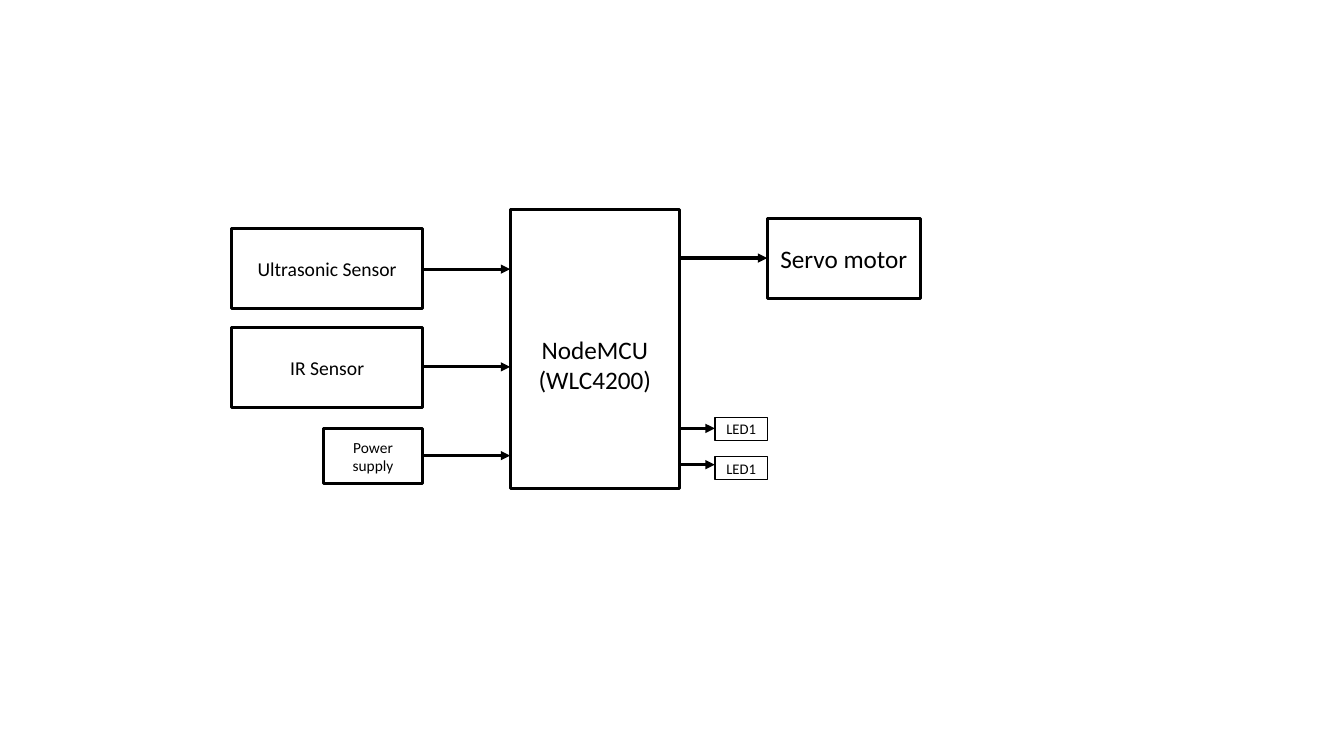
from lxml.etree import SubElement
from pptx import Presentation
from pptx.dml.color import RGBColor
from pptx.enum.shapes import MSO_CONNECTOR, MSO_SHAPE
from pptx.enum.text import MSO_ANCHOR, PP_ALIGN
from pptx.oxml.ns import qn
from pptx.util import Inches, Pt

BLACK = RGBColor(0, 0, 0)
WHITE = RGBColor(255, 255, 255)

presentation = Presentation()
presentation.slide_width = Inches(13.33)
presentation.slide_height = Inches(7.5)
slide = presentation.slides.add_slide(presentation.slide_layouts[6])


def add_block(text, left, top, width, height, font_size, line_width=2.25):
    shape = slide.shapes.add_shape(
        MSO_SHAPE.RECTANGLE, Inches(left), Inches(top), Inches(width), Inches(height)
    )
    shape.shadow.inherit = False
    shape.fill.solid()
    shape.fill.fore_color.rgb = WHITE
    shape.line.color.rgb = BLACK
    shape.line.width = Pt(line_width)
    text_frame = shape.text_frame
    text_frame.text = text
    text_frame.word_wrap = True
    text_frame.vertical_anchor = MSO_ANCHOR.MIDDLE
    for paragraph in text_frame.paragraphs:
        paragraph.alignment = PP_ALIGN.CENTER
        for run in paragraph.runs:
            run.font.name = "Calibri"
            run.font.size = Pt(font_size)
            run.font.color.rgb = BLACK
    return shape


def add_arrow(start, end, y):
    arrow = slide.shapes.add_connector(
        MSO_CONNECTOR.STRAIGHT, Inches(start), Inches(y), Inches(end), Inches(y)
    )
    arrow.line.color.rgb = BLACK
    arrow.line.width = Pt(2.25)
    properties = arrow.element.spPr
    SubElement(properties.find(qn("a:ln")), qn("a:tailEnd"), type="triangle")
    SubElement(properties, qn("a:effectLst"))


# Controller, with its label set below the middle
controller_left, controller_right = 5.06, 6.74
controller = add_block(
    "NodeMCU\n(WLC4200)", controller_left, 2.08,
    controller_right - controller_left, 2.77, 18,
)
controller.text_frame.margin_top = Inches(0.35)

# Inputs share a right edge
input_right = 4.19
inputs = [
    ("Ultrasonic Sensor", 2.27, 1.89, 0.79, 14, 2.67),
    ("IR Sensor", 3.25, 1.89, 0.79, 14, 3.64),
    ("Power supply", 4.25, 0.98, 0.55, 11, 4.52),
]
for text, top, width, height, font_size, arrow_y in inputs:
    add_block(text, input_right - width, top, width, height, font_size)
    add_arrow(input_right, controller_left, arrow_y)

# Outputs
outputs = [
    ("Servo motor", 7.61, 2.17, 1.52, 0.79, 18, 2.25, 2.56),
    ("LED1", 7.09, 4.14, 0.52, 0.23, 10.5, 1, 4.25),
    ("LED1", 7.09, 4.53, 0.52, 0.23, 10.5, 1, 4.61),
]
for text, left, top, width, height, font_size, line_width, arrow_y in outputs:
    add_block(text, left, top, width, height, font_size, line_width)
    add_arrow(controller_right, left, arrow_y)

presentation.save("out.pptx")
